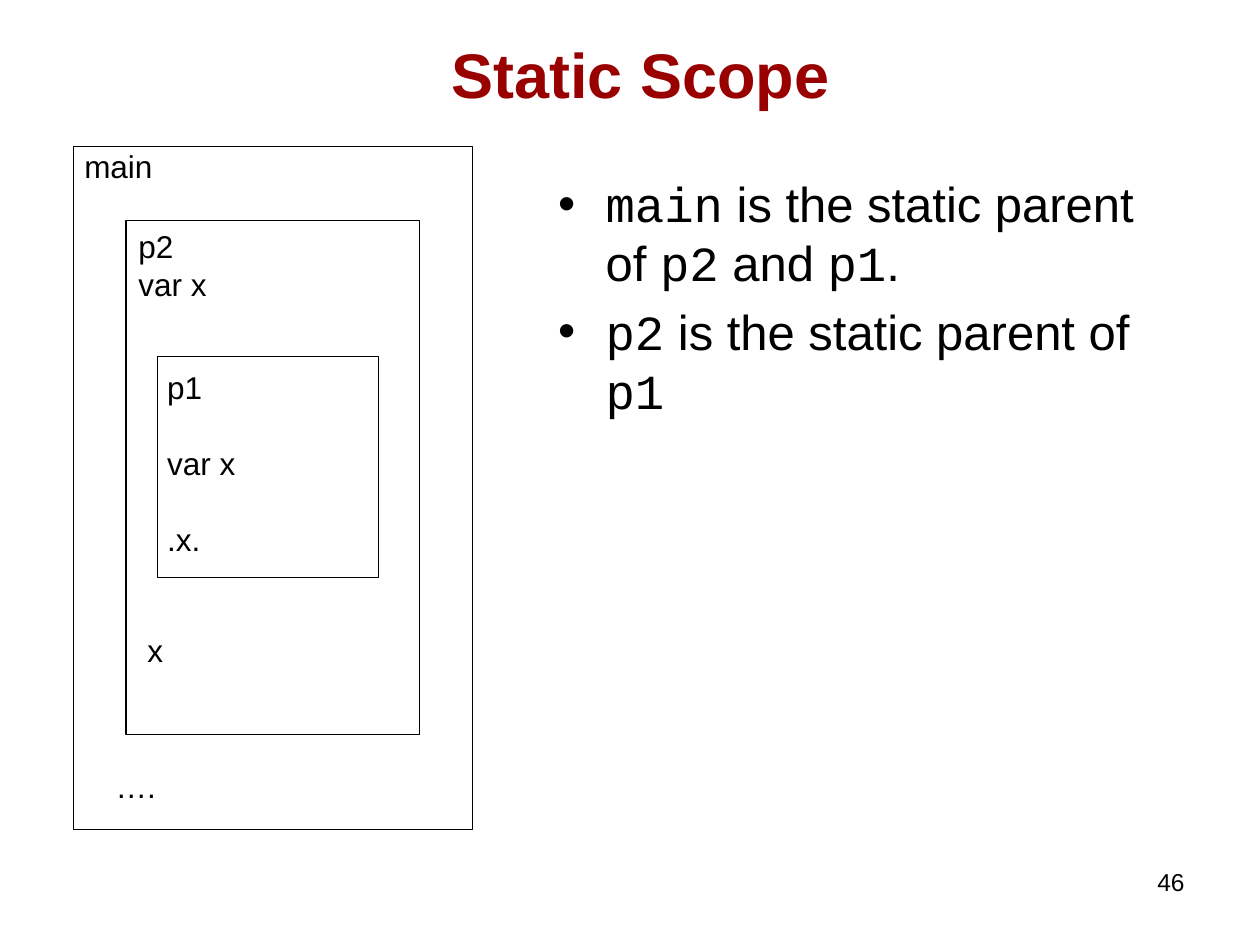
from dataclasses import dataclass

from lxml.etree import SubElement
from pptx import Presentation
from pptx.dml.color import RGBColor as Rgb
from pptx.enum.shapes import MSO_SHAPE as Shape
from pptx.enum.text import MSO_ANCHOR as Anchor, PP_ALIGN as Align
from pptx.oxml.ns import qn
from pptx.util import Cm, Pt

BLACK, RED = "000000", "990000"
SANS, MONO = "Arial", "Courier New"


@dataclass
class Box:
    left: float
    top: float
    width: float
    height: float

    def place(self) -> list[Cm]:
        return [Cm(v) for v in (self.left, self.top, self.width, self.height)]


@dataclass
class Label:
    box: Box
    lines: list[str]
    gap: float = 0


SCOPES = [
    Box(1.48, 2.96, 8.05, 13.77),
    Box(2.54, 4.45, 5.92, 10.36),
    Box(3.18, 7.19, 4.45, 4.45),
]
LABELS = [
    Label(Box(1.45, 2.84, 1.88, 1.02), ["main"]),
    Label(Box(2.54, 4.45, 1.88, 1.78), ["p2", "var x"]),
    Label(Box(3.12, 7.29, 1.88, 4.06), ["p1", "var x", ".x."], gap=22),
    Label(Box(2.72, 12.6, 0.84, 1.02), ["x"]),
    Label(Box(2.08, 15.34, 1.32, 1.02), ["…."]),
]
# Words between backticks are code.
POINTS = [
    "`main` is the static parent of `p2` and `p1`.",
    "`p2` is the static parent of `p1`",
]


def color(code: str) -> Rgb:
    return Rgb.from_string(code)


def bullet(para) -> None:
    props = para._p.get_or_add_pPr()
    props.set("marL", str(Cm(0.96)))
    props.set("indent", str(-Cm(0.96)))
    SubElement(props, qn("a:buFont"), typeface=SANS)
    SubElement(props, qn("a:buChar"), char="•")


def write(slide, box: Box, lines: list[str], *, size: float = 18,
          tint: str = BLACK, bold: bool = False, align=Align.LEFT,
          anchor=Anchor.TOP, wrap: bool = True, before: float = 0,
          gap: float = 0, pitch: float | None = None,
          dots: bool = False) -> None:
    """Add a text box; gap is the space between lines, before the space above each."""
    frame = slide.shapes.add_textbox(*box.place()).text_frame
    frame.word_wrap = wrap
    frame.vertical_anchor = anchor
    for row, line in enumerate(lines):
        para = frame.add_paragraph() if row else frame.paragraphs[0]
        para.alignment = align
        para.space_before = Pt(before + (gap if row else 0))
        if pitch:
            para.line_spacing = pitch
        if dots:
            bullet(para)
        for part, text in enumerate(line.split("`")):
            if not text:
                continue
            run = para.add_run()
            run.text = text
            font = run.font
            font.name = MONO if part % 2 else SANS
            font.size, font.bold = Pt(size), bold
            font.color.rgb = color(tint)


def draw(slide, box: Box) -> None:
    rect = slide.shapes.add_shape(Shape.RECTANGLE, *box.place())
    rect.shadow.inherit = False
    rect.fill.background()
    rect.line.color.rgb = color(BLACK)
    rect.line.width = Pt(0.75)


def main() -> None:
    deck = Presentation()
    deck.slide_width, deck.slide_height = Cm(25.4), Cm(19.05)
    slide = deck.slides.add_slide(deck.slide_layouts[6])

    write(slide, Box(1.48, 0.43, 22.86, 2.41), ["Static Scope"], size=36,
          tint=RED, bold=True, align=Align.CENTER, anchor=Anchor.MIDDLE,
          pitch=0.75)
    write(slide, Box(11, 3.38, 13.13, 6.78), POINTS, size=28, before=5.6,
          dots=True)
    for scope in SCOPES:
        draw(slide, scope)
    for label in LABELS:
        write(slide, label.box, label.lines, gap=label.gap, wrap=False)
    write(slide, Box(18.21, 17.35, 5.92, 1.32), ["46"], size=14,
          align=Align.RIGHT)

    deck.save("out.pptx")


if __name__ == "__main__":
    main()
